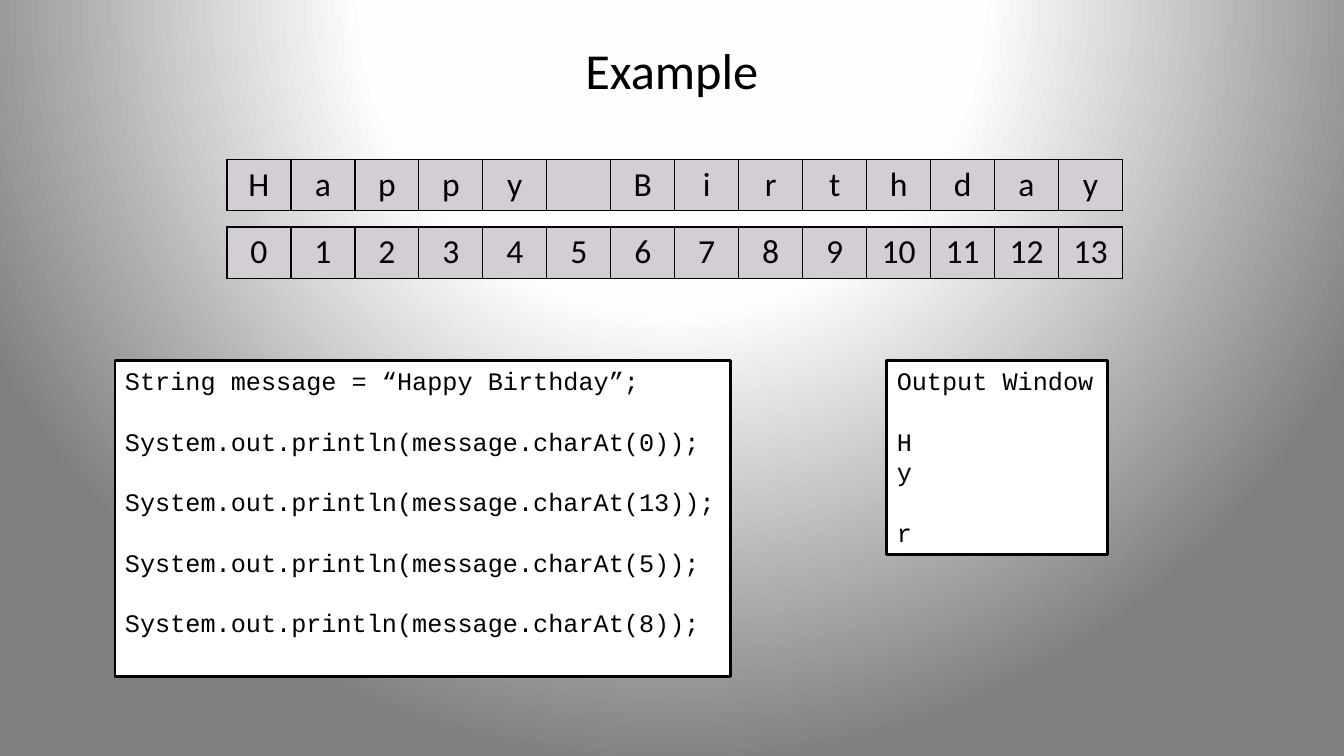
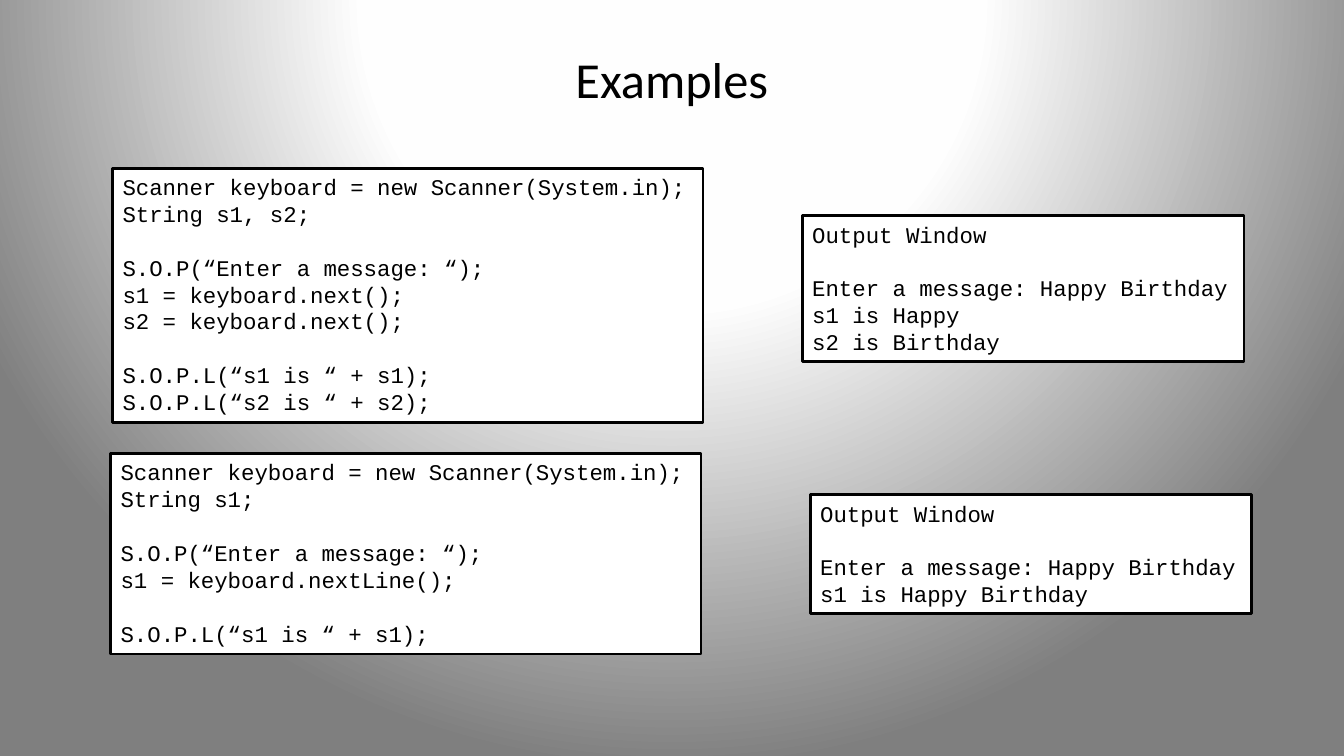
from dataclasses import dataclass

from lxml import etree
from pptx import Presentation
from pptx.dml.color import RGBColor as Rgb
from pptx.enum.shapes import MSO_SHAPE as Shape
from pptx.enum.text import MSO_ANCHOR as Anchor, PP_ALIGN as Align
from pptx.oxml import parse_xml
from pptx.oxml.ns import nsdecls, qn
from pptx.util import Cm, Pt


@dataclass(frozen=True)
class Theme:
    ink: str = "000000"
    paper: str = "FFFFFF"
    cell: str = "D3CED3"
    glow: tuple = ((0, "FFFFFF"), (40, "FEFEFE"), (100, "7F7F7F"))
    sans: str = "Calibri"
    mono: str = "Courier New"
    title_size: int = 36
    cell_size: int = 24
    line_pitch: float = 1.2
    frame_width: int = 2
    border_width: int = 1


THEME = Theme()
GREETING = "Happy Birthday"
SCANNER = "Scanner keyboard = new Scanner(System.in);"
PROMPT = "S.O.P(“Enter a message: “);"
HEADING = ["Output Window"]
DIALOGUE = "Enter a message: Happy Birthday"

SLIDES = [
    {
        "title": "Example",
        "title_height": 1.98,
        "strips": [
            (4.01, list(GREETING)),
            (5.72, [str(index) for index in range(len(GREETING))]),
        ],
        "code_size": 18,
        "panels": [
            ((2.9, 9.09, 15.52, 7.95), [
                ["String message = “Happy Birthday”;"],
                *[[f"System.out.println(message.charAt({index}));"]
                  for index in (0, 13, 5, 8)],
            ]),
            ((22.35, 9.09, 5.56, 4.88), [HEADING, ["H", "y"], ["r"]]),
        ],
    },
    {
        "title": "Examples",
        "title_height": 2.41,
        "strips": [],
        "code_size": 16,
        "panels": [
            ((2.84, 4.24, 14.88, 6.4), [
                [SCANNER, "String s1, s2;"],
                [PROMPT, "s1 = keyboard.next();", "s2 = keyboard.next();"],
                ["S.O.P.L(“s1 is “ + s1);", "S.O.P.L(“s2 is “ + s2);"],
            ]),
            ((2.79, 11.43, 14.88, 5.05), [
                [SCANNER, "String s1;"],
                [PROMPT, "s1 = keyboard.nextLine();"],
                ["S.O.P.L(“s1 is “ + s1);"],
            ]),
            ((20.22, 5.44, 11.13, 3.68), [
                HEADING, [DIALOGUE, "s1 is Happy", "s2 is Birthday"],
            ]),
            ((20.42, 12.47, 11.13, 3.0), [
                HEADING, [DIALOGUE, "s1 is Happy Birthday"],
            ]),
        ],
    },
]


def paint(fill, colour):
    fill.solid()
    fill.fore_color.rgb = Rgb.from_string(colour)


def write(paragraph, text, font_name, size, align):
    paragraph.alignment = align
    run = paragraph.add_run()
    run.text = text
    run.font.name = font_name
    run.font.size = Pt(size)
    run.font.color.rgb = Rgb.from_string(THEME.ink)


def paint_backdrop(master):
    master.background.fill.gradient()
    gradient = master.element.find(".//" + qn("a:gradFill"))
    for part in list(gradient):
        gradient.remove(part)
    stops = etree.SubElement(gradient, qn("a:gsLst"))
    for position, colour in THEME.glow:
        stop = etree.SubElement(stops, qn("a:gs"), pos=str(position * 1000))
        etree.SubElement(stop, qn("a:srgbClr"), val=colour)
    circle = etree.SubElement(gradient, qn("a:path"), path="circle")
    etree.SubElement(circle, qn("a:fillToRect"),
                     l="50000", t="-80000", r="50000", b="180000")


def add_title(slide, text, height):
    title = slide.shapes.title
    title.left, title.top = Cm(1.69), Cm(0.76)
    title.width, title.height = Cm(30.48), Cm(height)
    title.text_frame.vertical_anchor = Anchor.MIDDLE
    write(title.text_frame.paragraphs[0], text, THEME.sans,
          THEME.title_size, Align.CENTER)


def add_borders(cell):
    properties = cell._tc.get_or_add_tcPr()
    for position, side in enumerate(("lnL", "lnR", "lnT", "lnB")):
        properties.insert(position, parse_xml(
            f'<a:{side} {nsdecls("a")} w="{Pt(THEME.border_width)}"><a:solidFill>'
            f'<a:srgbClr val="{THEME.ink}"/></a:solidFill></a:{side}>'))


def add_strip(slide, top, symbols):
    width = Cm(22.58)
    table = slide.shapes.add_table(1, len(symbols), Cm(5.72), Cm(top),
                                   width, Cm(1.27)).table
    table.first_row = table.horz_banding = False
    for column, symbol in enumerate(symbols):
        table.columns[column].width = width // len(symbols)
        cell = table.cell(0, column)
        paint(cell.fill, THEME.cell)
        add_borders(cell)
        if symbol.strip():
            write(cell.text_frame.paragraphs[0], symbol, THEME.sans,
                  THEME.cell_size, Align.CENTER)


def add_panel(slide, bounds, groups, size):
    panel = slide.shapes.add_shape(Shape.RECTANGLE, *map(Cm, bounds))
    panel.shadow.inherit = False
    paint(panel.fill, THEME.paper)
    paint(panel.line.fill, THEME.ink)
    panel.line.width = Pt(THEME.frame_width)
    frame = panel.text_frame
    frame.word_wrap = True
    frame.vertical_anchor = Anchor.TOP
    pitch = Pt(size * THEME.line_pitch)
    paragraph = frame.paragraphs[0]
    for group_index, lines in enumerate(groups):
        for line_index, line in enumerate(lines):
            if group_index or line_index:
                paragraph = frame.add_paragraph()
            if group_index and not line_index:
                paragraph.space_before = pitch
            paragraph.line_spacing = pitch
            write(paragraph, line, THEME.mono, size, Align.LEFT)


def main():
    deck = Presentation()
    deck.slide_width, deck.slide_height = Cm(33.87), Cm(19.05)
    paint_backdrop(deck.slide_master)
    title_only = deck.slide_layouts[5]
    for content in SLIDES:
        slide = deck.slides.add_slide(title_only)
        add_title(slide, content["title"], content["title_height"])
        for top, symbols in content["strips"]:
            add_strip(slide, top, symbols)
        for bounds, groups in content["panels"]:
            add_panel(slide, bounds, groups, content["code_size"])
    deck.save("out.pptx")


if __name__ == "__main__":
    main()
